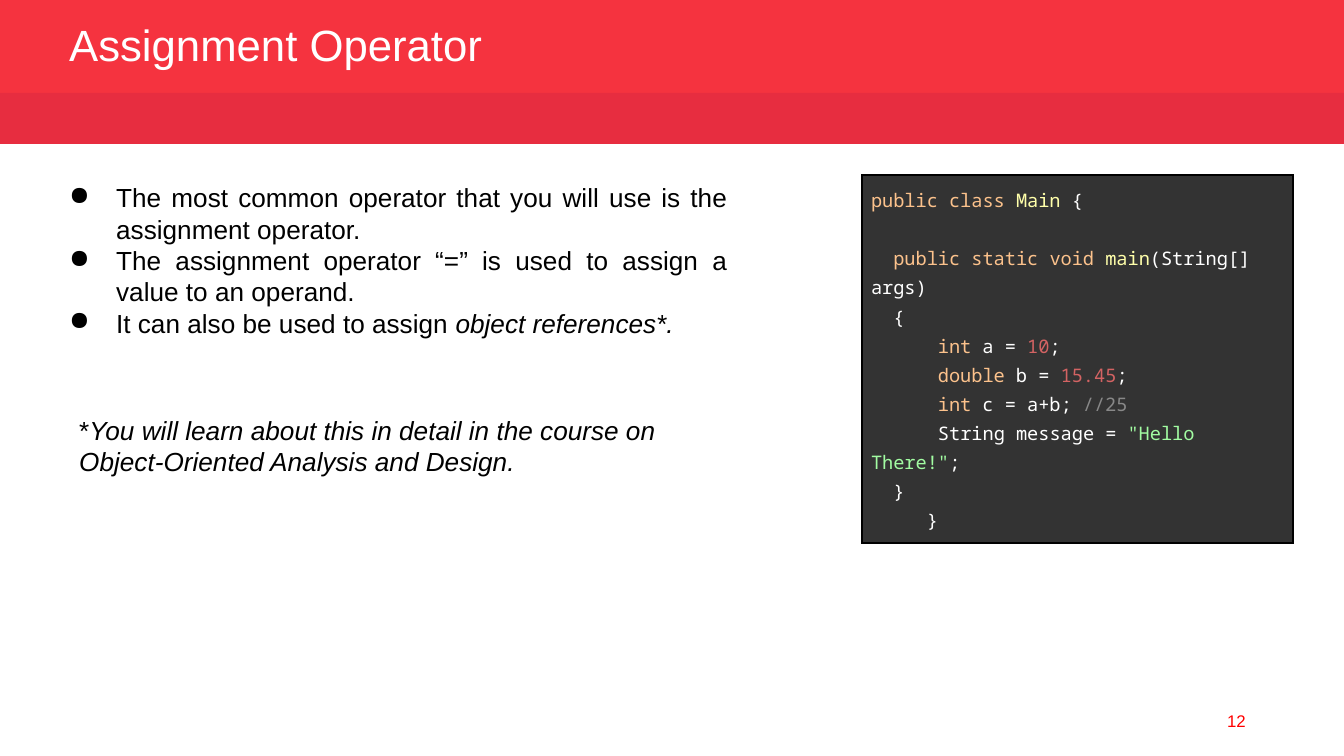
import copy

import pptx
import pptx.dml.color
import pptx.enum.shapes
import pptx.enum.text
import pptx.oxml
import pptx.oxml.ns
import pptx.util

RGBColor = pptx.dml.color.RGBColor
Align = pptx.enum.text.PP_ALIGN
Anchor = pptx.enum.text.MSO_ANCHOR

SCALE = 914400 / 134.4
BRIGHT_RED = RGBColor(0xF5, 0x33, 0x3F)
DEEP_RED = RGBColor(0xE7, 0x2D, 0x40)
NUMBER_RED = RGBColor(0xFF, 0x00, 0x00)
WHITE = RGBColor(0xFF, 0xFF, 0xFF)
BLACK = RGBColor(0x00, 0x00, 0x00)
CODE_GROUND = RGBColor(0x33, 0x33, 0x33)
KEYWORD = RGBColor(0xFC, 0xC2, 0x8C)
NAME = RGBColor(0xFF, 0xFF, 0xAA)
NUMBER = RGBColor(0xD3, 0x63, 0x63)
COMMENT = RGBColor(0x88, 0x88, 0x88)
STRING = RGBColor(0xA2, 0xFC, 0xA2)

BULLETS = [
    ("The most common operator that you will use is the assignment operator.", ""),
    ("The assignment operator “=” is used to assign a value to an operand.", ""),
    ("It can also be used to assign ", "object references*."),
]
FOOTNOTE = ("*", "You will learn about this in detail in the course on "
            "Object-Oriented Analysis and Design.")
CODE = [
    [("public", KEYWORD), (" ", WHITE), ("class", KEYWORD), (" ", WHITE),
     ("Main", NAME), (" {", WHITE)],
    [],
    [("  ", WHITE), ("public", KEYWORD), (" ", WHITE), ("static", KEYWORD),
     (" ", WHITE), ("void", KEYWORD), (" ", WHITE), ("main", NAME),
     ("(String[] args)", WHITE)],
    [("  {", WHITE)],
    [("      ", WHITE), ("int", KEYWORD), (" a = ", WHITE), ("10", NUMBER), (";", WHITE)],
    [("      ", WHITE), ("double", KEYWORD), (" b = ", WHITE), ("15.45", NUMBER),
     (";", WHITE)],
    [("      ", WHITE), ("int", KEYWORD), (" c = a+b; ", WHITE), ("//25", COMMENT)],
    [("      String message = ", WHITE), ('"Hello There!"', STRING), (";", WHITE)],
    [("  }", WHITE)],
    [("     }", WHITE)],
]


def px(length):
    return pptx.util.Emu(round(length * SCALE))


def add_band(page, left, top, width, height, color):
    band = page.shapes.add_shape(
        pptx.enum.shapes.MSO_SHAPE.RECTANGLE, px(left), px(top), px(width), px(height))
    band.shadow.inherit = False
    band.fill.solid()
    band.fill.fore_color.rgb = color
    band.line.fill.background()


def add_text_frame(page, left, top, width, height, anchor=Anchor.TOP):
    box = page.shapes.add_textbox(px(left), px(top), px(width), px(height))
    box.text_frame.word_wrap = True
    box.text_frame.vertical_anchor = anchor
    return box.text_frame


def add_span(para, text, size, color, font="Arial", italic=None):
    span = para.add_run()
    span.text = text
    span.font.name = font
    span.font.size = pptx.util.Pt(size)
    span.font.color.rgb = color
    span.font.italic = italic
    return span


def add_body_spans(para, plain, italic):
    add_span(para, plain, 14, BLACK)
    if italic:
        add_span(para, italic, 14, BLACK, italic=True)


def add_header(page, left, top, width, height):
    add_band(page, left, top, width, height - 50, BRIGHT_RED)
    add_band(page, left, top + height - 51, width, 51, DEEP_RED)
    frame = add_text_frame(page, left + 56, top + 19, 935, 59, Anchor.MIDDLE)
    para = frame.paragraphs[0]
    para.line_spacing = 0.8
    add_span(para, "Assignment Operator", 23.4, WHITE)


def add_bullets(page, left, top, width, height):
    frame = add_text_frame(page, left, top, width, height)
    for index, (plain, italic) in enumerate(BULLETS):
        para = frame.paragraphs[0] if index == 0 else frame.add_paragraph()
        para.alignment = Align.JUSTIFY
        properties = para._p.get_or_add_pPr()
        properties.set("marL", str(px(67)))
        properties.set("indent", str(px(-47)))
        namespace = pptx.oxml.ns.nsdecls("a")
        for tag in ('<a:buClr {}><a:srgbClr val="000000"/></a:buClr>',
                    '<a:buChar {} char="●"/>'):
            properties.append(pptx.oxml.parse_xml(tag.format(namespace)))
        add_body_spans(para, plain, italic)


def add_footnote(page, left, top, width, height):
    frame = add_text_frame(page, left, top, width, height)
    frame.margin_top = frame.margin_bottom = px(13)
    add_body_spans(frame.paragraphs[0], *FOOTNOTE)


def add_code(page, left, top, width, height):
    table = page.shapes.add_table(
        1, 1, px(left), px(top), px(width), px(height)).table
    table.first_row = table.horz_banding = False
    cell = table.cell(0, 0)
    cell.margin_left = cell.margin_right = px(9)
    cell.margin_top = cell.margin_bottom = px(9)
    para = cell.text_frame.paragraphs[0]
    para.line_spacing = 1.15
    span = None
    for index, line in enumerate(CODE):
        if index:
            para.add_line_break()
            para._p[-1].append(copy.deepcopy(span._r.rPr))
        for text, color in line:
            span = add_span(para, text, 10, color, "Noto Sans Mono")
    properties = cell._tc.get_or_add_tcPr()
    for side in ("lnL", "lnR", "lnT", "lnB"):
        properties.append(pptx.oxml.parse_xml(
            f'<a:{side} {pptx.oxml.ns.nsdecls("a")} w="9525"><a:solidFill>'
            f'<a:srgbClr val="{BLACK}"/></a:solidFill></a:{side}>'))
    cell.fill.solid()
    cell.fill.fore_color.rgb = CODE_GROUND


def add_page_number(page, left, top, width, height):
    frame = add_text_frame(page, left, top, width, height, Anchor.MIDDLE)
    para = frame.paragraphs[0]
    para.alignment = Align.RIGHT
    add_span(para, "12", 9, NUMBER_RED)


def main():
    deck = pptx.Presentation()
    deck.slide_width, deck.slide_height = px(1344), px(756)
    page = deck.slides.add_slide(deck.slide_layouts[6])
    add_header(page, 0, 0, 1344, 144)
    add_page_number(page, 957, 701, 302, 40)
    add_bullets(page, 36, 175, 705, 452)
    add_code(page, 862, 175, 431, 368)
    add_footnote(page, 66, 401, 640, 59)
    deck.save("out.pptx")


if __name__ == "__main__":
    main()
